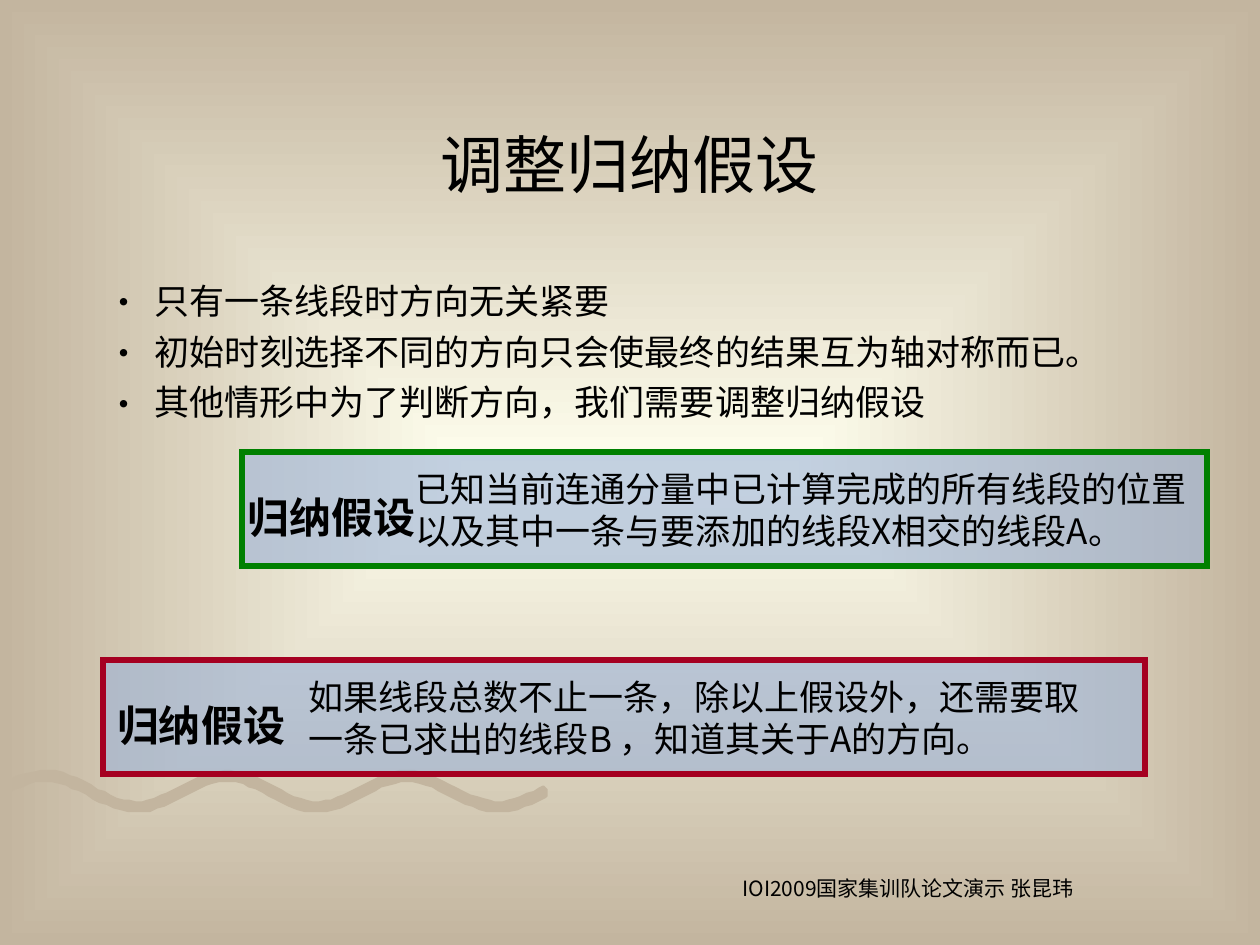
from math import atan2, cos, pi, sin

from lxml import etree
from pptx import Presentation
from pptx.dml.color import RGBColor
from pptx.enum.shapes import MSO_SHAPE
from pptx.enum.text import MSO_ANCHOR, PP_ALIGN
from pptx.oxml.ns import qn
from pptx.util import Pt

RECTANGLE = MSO_SHAPE.RECTANGLE
MIDDLE, TOP = MSO_ANCHOR.MIDDLE, MSO_ANCHOR.TOP
LEFT, CENTER, RIGHT = PP_ALIGN.LEFT, PP_ALIGN.CENTER, PP_ALIGN.RIGHT

FONT = "Noto Sans CJK SC"
BLACK = RGBColor(0x00, 0x00, 0x00)
CREAM = RGBColor(0xFF, 0xFF, 0xEE)
TAN = RGBColor(0xC3, 0xB5, 0x9F)
BLUE = RGBColor(0x9C, 0xB3, 0xD8)
RED = RGBColor(0xA5, 0x00, 0x21)
GREEN = RGBColor(0x00, 0x80, 0x00)

BULLETS = [
    "只有一条线段时方向无关紧要",
    "初始时刻选择不同的方向只会使最终的结果互为轴对称而已。",
    "其他情形中为了判断方向，我们需要调整归纳假设",
]
HYPOTHESES = [
    ((59, 377.3, 595.5, 64.8), RED, 7.9, 110.2, 470.2,
     "如果线段总数不止一条，除以上假设外，还需要取一条已求出的线段B ，知道其关于A的方向。"),
    ((138.2, 258.5, 551.5, 64.8), GREEN, 3.5, 92.2, 463,
     "已知当前连通分量中已计算完成的所有线段的位置以及其中一条与要添加的线段X相交的线段A。"),
]


def add_text(slide, box, lines, size, align=LEFT, anchor=TOP, bold=False,
             side_margin=7.2, space_before=0):
    """Add a text box with one paragraph per line and return its paragraphs."""
    frame = slide.shapes.add_textbox(*map(Pt, box)).text_frame
    frame.word_wrap = True
    frame.vertical_anchor = anchor
    frame.margin_left = frame.margin_right = Pt(side_margin)
    for index, line in enumerate(lines):
        paragraph = frame.add_paragraph() if index else frame.paragraphs[0]
        paragraph.alignment = align
        paragraph.space_before = Pt(space_before)
        run = paragraph.add_run()
        run.text = line
        run.font.size = Pt(size)
        run.font.bold = bold
        run.font.color.rgb = BLACK
        run.font.name = FONT
        etree.SubElement(run.font._element, qn("a:ea")).set("typeface", FONT)
    return frame.paragraphs


def paint_background(slide):
    """Fill the background with a rectangular gradient, light at the centre."""
    fill = slide.background.fill
    fill.gradient()
    for stop, color, position in zip(fill.gradient_stops, (CREAM, TAN), (0, 1)):
        stop.color.rgb = color
        stop.position = position
    gradient = slide.element.find(".//" + qn("a:gradFill"))
    gradient.remove(gradient.find(qn("a:lin")))
    shade = etree.SubElement(gradient, qn("a:path"))
    shade.set("path", "rect")
    center = etree.SubElement(shade, qn("a:fillToRect"))
    for side in "ltrb":
        center.set(side, "50000")


def add_wave(slide, box, period=103.5, crest=26, radius=3.4):
    """Draw a wavy brush stroke of even thickness with a round right end."""
    left, top, width, height = box
    amplitude = height / 2 - radius
    middle = top + height / 2
    steps = 80

    def edge(x, turn):
        """Return the point beside the centre line at x, turned from its direction."""
        phase = 2 * pi * (x - crest) / period
        angle = atan2(amplitude * 2 * pi / period * sin(phase), 1) + turn
        return (left + x + radius * cos(angle),
                middle - amplitude * cos(phase) + radius * sin(angle))

    end = width - radius
    positions = [end * step / steps for step in range(steps + 1)]
    upper = [edge(x, -pi / 2) for x in positions]
    cap = [edge(end, pi * step / 8) for step in range(-3, 4)]
    lower = [edge(x, pi / 2) for x in reversed(positions)]
    outline = [(max(x, left), y) for x, y in upper + cap + lower]
    builder = slide.shapes.build_freeform(*outline[0], scale=Pt(1))
    builder.add_line_segments(outline[1:], close=True)
    wave = builder.convert_to_shape()
    wave.shadow.inherit = False
    wave.fill.solid()
    wave.fill.fore_color.rgb = TAN
    wave.line.fill.background()


def add_bullets(slide, box):
    """Add the list of remarks with hanging bullets."""
    for paragraph in add_text(slide, box, BULLETS, 20, space_before=5):
        properties = paragraph._p.get_or_add_pPr()
        properties.set("marL", str(Pt(27)))
        properties.set("indent", str(Pt(-27)))
        etree.SubElement(properties, qn("a:buFont")).set("typeface", FONT)
        etree.SubElement(properties, qn("a:buChar")).set("char", "•")


def add_hypothesis(slide, box, color, label_offset, text_offset, text_width, text):
    """Add a framed translucent panel with a bold label and its statement."""
    left, top, _, height = box
    panel = slide.shapes.add_shape(RECTANGLE, *map(Pt, box))
    panel.shadow.inherit = False
    panel.fill.solid()
    panel.fill.fore_color.rgb = BLUE
    tint = panel.element.spPr.find(qn("a:solidFill"))[0]
    etree.SubElement(tint, qn("a:alpha")).set("val", "60000")
    panel.line.color.rgb = color
    panel.line.width = Pt(3.5)
    outline = panel.element.spPr.find(qn("a:ln"))
    etree.SubElement(outline, qn("a:miter")).set("lim", "800000")
    add_text(slide, (left + label_offset, top + 18.7, 100, 36), ["归纳假设"], 24,
             bold=True, side_margin=0)
    add_text(slide, (left + text_offset, top + 5, text_width, height - 9.4), [text], 20,
             space_before=12.5)


def main():
    """Build the slide and save it."""
    presentation = Presentation()
    presentation.slide_width, presentation.slide_height = Pt(720), Pt(540)
    slide = presentation.slides.add_slide(presentation.slide_layouts[6])
    paint_background(slide)
    add_wave(slide, (0, 440, 313.5, 24.5))
    add_text(slide, (54, 48.2, 612, 90), ["调整归纳假设"], 36, CENTER, MIDDLE)
    add_bullets(slide, (54, 156.2, 612, 89.3))
    for hypothesis in HYPOTHESES:
        add_hypothesis(slide, *hypothesis)
    add_text(slide, (354.2, 496.8, 266.4, 31), ["IOI2009国家集训队论文演示 张昆玮"], 12, RIGHT,
             space_before=7.5)
    presentation.save("out.pptx")


if __name__ == "__main__":
    main()
